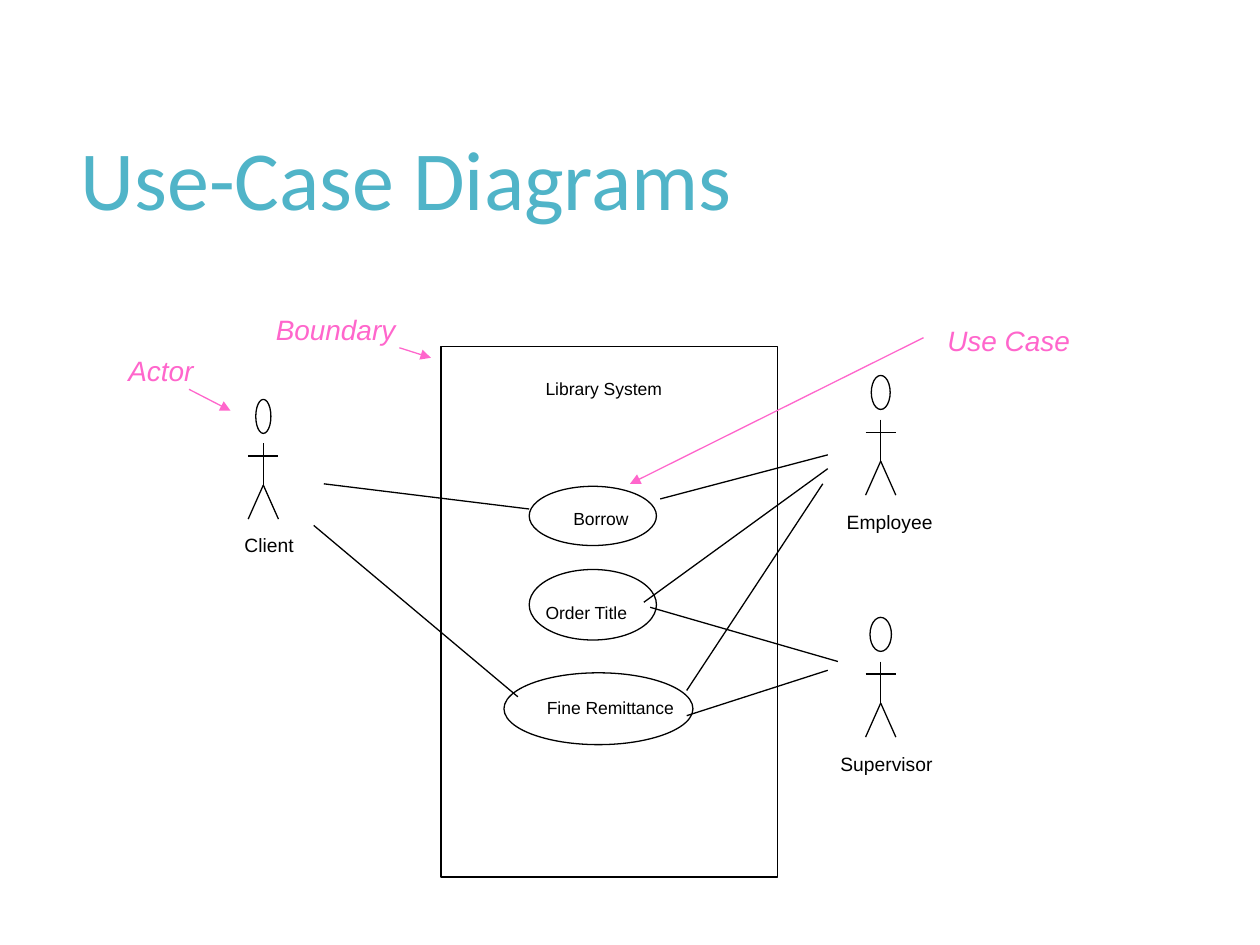
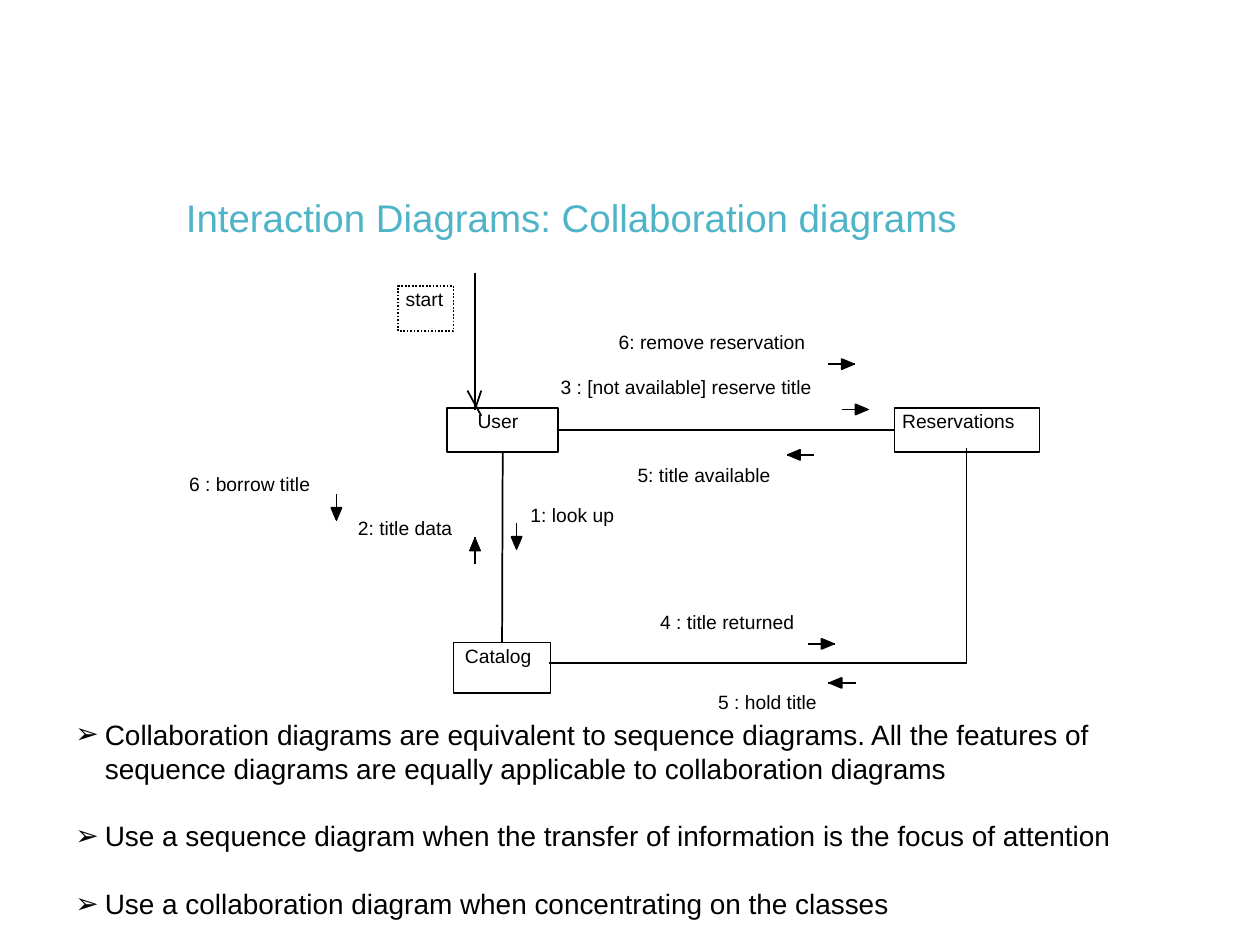
from dataclasses import dataclass

from lxml.etree import SubElement
from pptx import Presentation
from pptx.dml.color import RGBColor
from pptx.enum.dml import MSO_LINE
from pptx.enum.shapes import MSO_CONNECTOR, MSO_SHAPE
from pptx.enum.text import MSO_ANCHOR, MSO_AUTO_SIZE, PP_ALIGN
from pptx.oxml.ns import qn
from pptx.util import Inches, Pt

BLACK = RGBColor(0, 0, 0)
WHITE = RGBColor(255, 255, 255)
TEAL = RGBColor(0x50, 0xB4, 0xC8)
PINK = RGBColor(0xFF, 0x66, 0xCC)

COLUMNS, ROWS = 100, 75
CELL = Inches(0.1)
THIN, MEDIUM = 0.75, 1
LABEL_SLACK = 0.3
RIGHT, LEFT, DOWN, UP = (1, 0), (-1, 0), (0, 1), (0, -1)
TOP_SIDE, LEFT_SIDE, BOTTOM_SIDE, RIGHT_SIDE = range(4)


@dataclass(frozen=True)
class Area:
    col: float
    row: float
    cols: float
    rows: float

    def box(self) -> tuple:
        return tuple(grid(v) for v in (self.col, self.row, self.cols, self.rows))


@dataclass(frozen=True)
class Label:
    text: str
    col: float
    row: float
    cols: float
    size: float = 11
    wrap: bool = False


@dataclass(frozen=True)
class Actor:
    center: float
    head_row: float
    head_cols: float
    label: Label


@dataclass(frozen=True)
class Callout:
    text: str
    area: Area
    start: tuple
    end: tuple


@dataclass(frozen=True)
class Message:
    label: Label
    start: tuple
    heading: tuple


USE_CASES = [
    (Area(42, 38.6, 10.1, 4.7), Label("Borrow", 45.5, 40.3, 4.4, 10)),
    (Area(42, 45.2, 10.1, 5.6), Label("Order Title", 43.3, 47.8, 6.6, 10)),
    (Area(40, 53.4, 15, 5.7), Label("Fine Remittance", 43.4, 55.3, 10.1, 10)),
]
ASSOCIATIONS = [
    ((25.7, 38.4), (42, 40.4)),
    ((24.9, 41.7), (41.1, 55.3)),
    ((65.7, 37.2), (51.1, 47.8)),
    ((65.3, 38.4), (54.5, 54.8)),
    ((52.4, 39.6), (65.7, 36.1)),
    ((51.6, 48.2), (66.5, 52.5)),
    ((54.5, 56.8), (65.7, 53.2)),
]
ACTORS = [
    Actor(20.9, 31.7, 1.2, Label("Client", 19.4, 42.3, 3.9)),
    Actor(69.9, 29.8, 1.5, Label("Employee", 67.2, 40.5, 6.8)),
    Actor(69.9, 49, 1.7, Label("Supervisor", 66.7, 59.7, 7.3)),
]
CALLOUTS = [
    Callout("Boundary", Area(20.9, 24.3, 11.5, 3.7), (31.7, 27.6), (34.2, 28.4)),
    Callout("Actor", Area(9.2, 27.6, 10.8, 3.7), (15, 30.9), (18.3, 32.6)),
    Callout("Use Case", Area(74.2, 25.2, 15, 3.7), (73.3, 26.8), (50, 38.4)),
]
OBJECTS = [
    (Area(35.5, 32.4, 8.8, 3.5), Label("User", 37.9, 32.5, 3.2)),
    (Area(36, 51, 7.7, 4), Label("Catalog", 36.9, 51.1, 5.3)),
    (Area(71, 32.4, 11.5, 3.5), Label("Reservations", 71.6, 32.5, 9)),
]
START_ARROW = [
    ((37.7, 21.7), (37.7, 32.5)),
    ((37.1, 31), (38.2, 33)),
    ((38.2, 31), (37.7, 32.5)),
]
MESSAGES = [
    Message(Label("1: look up", 42.1, 39.9, 6.7), (41, 41.5), DOWN),
    Message(Label("2: title data", 28.4, 41, 7.5), (37.7, 44.8), UP),
    Message(Label("3 : [not available] reserve title", 44.5, 29.8, 20), (66.8, 32.5), RIGHT),
    Message(Label("4 : title returned", 52.4, 48.4, 10.7), (64.1, 51.1), RIGHT),
    Message(Label("5 : hold title", 57, 54.8, 7.9), (67.9, 54.2), LEFT),
    Message(Label("6 : borrow title", 15, 37.5, 9.6), (26.7, 39.2), DOWN),
    Message(Label("6: remove reservation", 49.1, 26.2, 14.8), (65.7, 28.9), RIGHT),
    Message(Label("5: title available", 50.6, 36.8, 10.6), (64.6, 36.1), LEFT),
]
REMARKS = [
    "Collaboration diagrams are equivalent to sequence diagrams. All the features of "
    "sequence diagrams are equally applicable to collaboration diagrams",
    "Use a sequence diagram when the transfer of information is the focus of attention",
    "Use a collaboration diagram when concentrating on the classes",
]


def grid(cells: float) -> int:
    return round(cells * CELL)


def set_font(paragraph, size: float, color=BLACK, name="Arial", italic=False) -> None:
    font = paragraph.font
    font.name, font.size, font.italic = name, Pt(size), italic
    font.color.rgb = color


def add_title(slide, text: str, area: Area, size: float, name: str):
    title = slide.shapes.title
    title.left, title.top, title.width, title.height = area.box()
    frame = title.text_frame
    frame.text = text
    frame.auto_size = MSO_AUTO_SIZE.NONE
    frame.vertical_anchor = MSO_ANCHOR.MIDDLE
    heading = frame.paragraphs[0]
    heading.alignment = PP_ALIGN.LEFT
    heading.line_spacing = 0.9
    set_font(heading, size, TEAL, name)
    return frame


def add_outline(slide, kind, area: Area, weight: float):
    outline = slide.shapes.add_shape(kind, *area.box())
    return paint(outline, WHITE, weight)


def paint(shape, fill, weight: float):
    shape.shadow.inherit = False
    if fill is None:
        shape.fill.background()
    else:
        shape.fill.solid()
        shape.fill.fore_color.rgb = fill
    shape.line.color.rgb = BLACK
    shape.line.width = Pt(weight)
    return shape


def add_line(slide, start: tuple, end: tuple, weight: float, color=BLACK, arrow=False):
    ends = (grid(v) for v in (*start, *end))
    line = slide.shapes.add_connector(MSO_CONNECTOR.STRAIGHT, *ends)
    line.line.color.rgb = color
    line.line.width = Pt(weight)
    properties = line._element.spPr
    if arrow:
        SubElement(properties.find(qn("a:ln")), qn("a:tailEnd"), type="triangle")
    SubElement(properties, qn("a:effectLst"))
    return line


def join(slide, source, source_side: int, target, target_side: int) -> None:
    link = add_line(slide, (0, 0), (1, 1), MEDIUM)
    link.begin_connect(source, source_side)
    link.end_connect(target, target_side)


def add_path(slide, points: list, fill, closed: bool) -> None:
    first, *others = [(grid(x), grid(y)) for x, y in points]
    builder = slide.shapes.build_freeform(*first)
    builder.add_line_segments(others, close=closed)
    paint(builder.convert_to_shape(), fill, MEDIUM)


def add_label(slide, label: Label) -> None:
    area = Area(label.col, label.row, label.cols + LABEL_SLACK, label.size * 0.165)
    frame = slide.shapes.add_textbox(*area.box()).text_frame
    frame.margin_left = frame.margin_top = frame.margin_right = frame.margin_bottom = 0
    frame.word_wrap = label.wrap
    frame.auto_size = MSO_AUTO_SIZE.SHAPE_TO_FIT_TEXT
    frame.text = label.text
    set_font(frame.paragraphs[0], label.size)


def add_actor(slide, actor: Actor) -> None:
    x, top = actor.center, actor.head_row
    neck, arms, hip, feet = (top + drop for drop in (3.5, 4.5, 6.8, 9.5))
    limbs = [
        ((x, neck), (x, hip)),
        ((x - 1.2, arms), (x + 1.2, arms)),
        ((x, hip), (x - 1.2, feet)),
        ((x, hip), (x + 1.2, feet)),
    ]
    for start, end in limbs:
        add_line(slide, start, end, THIN)
    head = Area(x - actor.head_cols / 2, top, actor.head_cols, 2.7)
    add_outline(slide, MSO_SHAPE.OVAL, head, THIN)
    add_label(slide, actor.label)


def add_callout(slide, callout: Callout) -> None:
    frame = slide.shapes.add_textbox(*callout.area.box()).text_frame
    frame.word_wrap = True
    frame.text = callout.text
    set_font(frame.paragraphs[0], 16, PINK, italic=True)
    add_line(slide, callout.start, callout.end, THIN, PINK, arrow=True)


def add_message(slide, message: Message) -> None:
    (x, y), (dx, dy) = message.start, message.heading

    def along(forward: float, sideways: float = 0) -> tuple:
        return x + dx * forward - dy * sideways, y + dy * forward + dx * sideways

    add_line(slide, along(0), along(2.15), MEDIUM)
    add_path(slide, [along(1.1, -0.4), along(2.05), along(1.1, 0.4)], BLACK, True)
    add_label(slide, message.label)


def add_remarks(slide, area: Area) -> None:
    frame = slide.shapes.add_textbox(*area.box()).text_frame
    frame.word_wrap = True
    frame.vertical_anchor = MSO_ANCHOR.MIDDLE
    for index, remark in enumerate(REMARKS):
        paragraph = frame.paragraphs[0] if index == 0 else frame.add_paragraph()
        paragraph.text = remark
        properties = paragraph._p.get_or_add_pPr()
        properties.set("marL", str(grid(2.34)))
        properties.set("indent", str(-grid(2.34)))
        SubElement(properties, qn("a:buFont"), typeface="Arial")
        SubElement(properties, qn("a:buChar"), char="➢")
        if index:
            paragraph.space_before = Pt(19.5)
        set_font(paragraph, 16)


def build_use_cases(slide) -> None:
    add_title(slide, "Use-Case Diagrams", Area(5.4, 5.5, 88.4, 18.1), 48, "Calibri")
    add_outline(slide, MSO_SHAPE.RECTANGLE, Area(35, 27.5, 26.7, 42.1), THIN)
    add_label(slide, Label("Library System", 43.3, 30, 11.7, 10, wrap=True))
    for area, label in USE_CASES:
        add_outline(slide, MSO_SHAPE.OVAL, area, THIN)
        add_label(slide, label)
    for start, end in ASSOCIATIONS:
        add_line(slide, start, end, THIN)
    for actor in ACTORS:
        add_actor(slide, actor)
    for callout in CALLOUTS:
        add_callout(slide, callout)


def build_collaboration(slide) -> None:
    heading = add_title(slide, "Interaction Diagrams: Collaboration diagrams",
                        Area(12.5, 10.8, 85.2, 7.5), 22, "Arial")
    heading.vertical_anchor = MSO_ANCHOR.TOP
    heading.margin_left, heading.margin_top, heading.margin_bottom = grid(2.25), grid(5), 0
    boxes = []
    for area, label in OBJECTS:
        boxes.append(add_outline(slide, MSO_SHAPE.RECTANGLE, area, MEDIUM))
        add_label(slide, label)
    user, catalog, reservations = boxes
    for start, end in START_ARROW:
        add_line(slide, start, end, MEDIUM)
    start_box = add_outline(slide, MSO_SHAPE.RECTANGLE, Area(31.6, 22.7, 4.4, 3.6), MEDIUM)
    start_box.line.dash_style = MSO_LINE.ROUND_DOT
    add_label(slide, Label("start", 32.2, 22.8, 3))
    join(slide, user, BOTTOM_SIDE, catalog, TOP_SIDE)
    join(slide, user, RIGHT_SIDE, reservations, LEFT_SIDE)
    add_path(slide, [(43.6, 52.6), (76.7, 52.6), (76.7, 35.6)], None, False)
    for message in MESSAGES:
        add_message(slide, message)
    add_remarks(slide, Area(5, 57.5, 92.5, 15))


def main() -> None:
    deck = Presentation()
    deck.slide_width, deck.slide_height = grid(COLUMNS), grid(ROWS)
    title_only = deck.slide_layouts[5]
    for build in (build_use_cases, build_collaboration):
        build(deck.slides.add_slide(title_only))
    deck.save("out.pptx")


if __name__ == "__main__":
    main()
